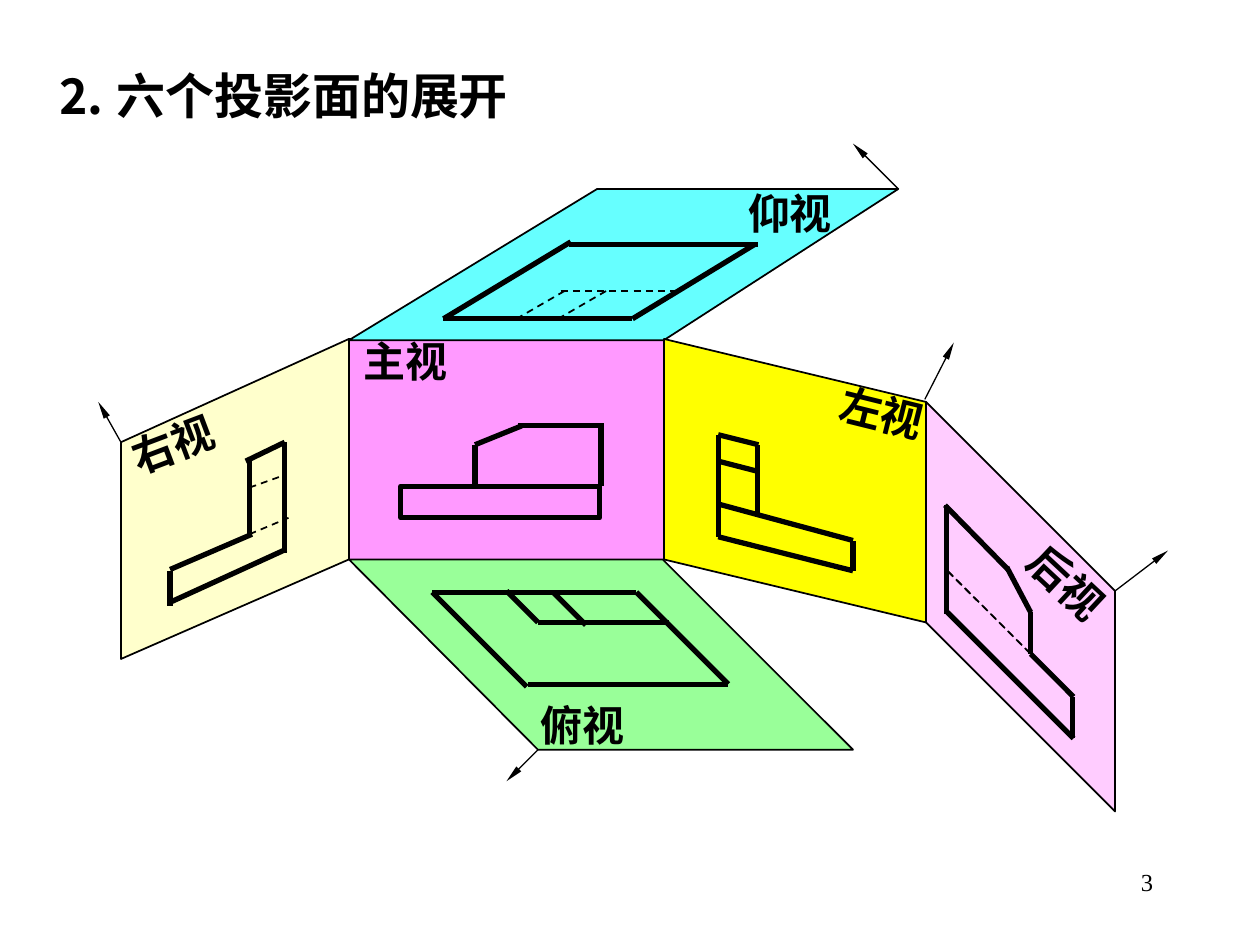
"""Build a slide showing how the six projection planes unfold."""
from dataclasses import dataclass

from lxml.etree import SubElement
from pptx import Presentation
from pptx.dml.color import RGBColor
from pptx.enum.dml import MSO_LINE
from pptx.enum.shapes import MSO_CONNECTOR, MSO_SHAPE
from pptx.enum.text import MSO_ANCHOR, PP_ALIGN
from pptx.oxml.ns import qn
from pptx.util import Inches, Pt


@dataclass(frozen=True)
class Theme:
    ink: RGBColor = RGBColor.from_string("000000")
    front: RGBColor = RGBColor.from_string("FF99FF")
    rear: RGBColor = RGBColor.from_string("FFCCFF")
    bottom: RGBColor = RGBColor.from_string("66FFFF")
    top: RGBColor = RGBColor.from_string("99FF99")
    right: RGBColor = RGBColor.from_string("FFFFCC")
    left: RGBColor = RGBColor.from_string("FFFF00")
    heading_font: str = "Noto Sans CJK SC"
    body_font: str = "Times New Roman"
    heading_size: int = 28
    label_size: int = 24
    number_size: int = 14
    edge: float = 3
    thin: float = 1
    arrow: float = 0.75


theme = Theme()
presentation = Presentation()
presentation.slide_width, presentation.slide_height = Inches(10), Inches(7.5)
slide = presentation.slides.add_slide(presentation.slide_layouts[6])


def add_text(text, left, top, width=1, height=0.5, size=theme.label_size, font=theme.body_font,
             bold=True, align=PP_ALIGN.CENTER, anchor=MSO_ANCHOR.MIDDLE, rotation=0):
    box = slide.shapes.add_textbox(Inches(left), Inches(top), Inches(width), Inches(height))
    box.rotation = rotation
    frame = box.text_frame
    frame.word_wrap = True
    frame.vertical_anchor = anchor
    paragraph = frame.paragraphs[0]
    paragraph.alignment = align
    run = paragraph.add_run()
    run.text = text
    run.font.name, run.font.size, run.font.bold = font, Pt(size), bold
    run.font.color.rgb = theme.ink
    SubElement(run.font._element, qn("a:ea"), typeface=theme.heading_font)


def add_line(x1, y1, x2, y2, width=theme.edge, dashed=False, arrow=False):
    line = slide.shapes.add_connector(
        MSO_CONNECTOR.STRAIGHT, Inches(x1), Inches(y1), Inches(x2), Inches(y2))
    line.line.width = Pt(width)
    line.line.color.rgb = theme.ink
    if dashed:
        line.line.dash_style = MSO_LINE.DASH
    if arrow:
        SubElement(line.line._get_or_add_ln(), qn("a:tailEnd"), type="triangle", w="sm", len="lg")
    SubElement(line._element.spPr, qn("a:effectLst"))


add_text("3", 7.17, 6.83, 2.08, size=theme.number_size, bold=False,
         align=PP_ALIGN.RIGHT, anchor=MSO_ANCHOR.TOP)
add_text("⒉ 六个投影面的展开", 0.35, 0.47, 4.83, 0.57, size=theme.heading_size,
         font=theme.heading_font, align=PP_ALIGN.LEFT)

front_plane = slide.shapes.add_shape(
    MSO_SHAPE.RECTANGLE, Inches(2.77), Inches(2.69), Inches(2.5), Inches(1.75))
front_plane.fill.solid()
front_plane.fill.fore_color.rgb = theme.front
front_plane.line.width = Pt(theme.thin)

front_base = slide.shapes.add_shape(
    MSO_SHAPE.RECTANGLE, Inches(3.18), Inches(3.86), Inches(1.58), Inches(0.25))
front_base.fill.background()
front_base.line.width = Pt(theme.edge)

for front_part in (front_plane, front_base):
    front_part.shadow.inherit = False
    front_part.line.color.rgb = theme.ink

unfolded_planes = [
    (theme.rear, [(7.35, 3.19), (8.85, 4.69), (8.85, 6.44), (7.35, 4.94)]),
    (theme.bottom, [(2.77, 2.7), (4.74, 1.5), (7.13, 1.5), (5.27, 2.7)]),
    (theme.top, [(2.77, 4.44), (4.27, 5.95), (6.77, 5.95), (5.26, 4.44)]),
    (theme.right, [(2.77, 2.69), (0.96, 3.51), (0.96, 5.23), (2.77, 4.44)]),
    (theme.left, [(5.27, 2.69), (7.35, 3.19), (7.35, 4.94), (5.27, 4.44)]),
]
for color, corners in unfolded_planes:
    start, *others = [(Inches(x), Inches(y)) for x, y in corners]
    outline = slide.shapes.build_freeform(*start)
    outline.add_line_segments(others, close=True)
    plane = outline.convert_to_shape()
    plane.shadow.inherit = False
    plane.fill.solid()
    plane.fill.fore_color.rgb = color
    plane.line.color.rgb = theme.ink
    plane.line.width = Pt(theme.thin)

front_edges = [(4.76, 3.38, 4.11, 3.38), (3.77, 3.86, 3.77, 3.53),
               (3.77, 3.53, 4.14, 3.38), (4.77, 3.86, 4.77, 3.36)]
left_edges = [(5.7, 4.26, 6.77, 4.53), (6.77, 4.53, 6.77, 4.29), (5.7, 4.26, 5.7, 3.45),
              (5.7, 4, 6.77, 4.29), (6.01, 4.08, 6.01, 3.53), (5.7, 3.45, 6.02, 3.53),
              (5.7, 3.66, 6.01, 3.74)]
right_edges = [(2.26, 3.51, 2.26, 4.39), (2.27, 4.36, 1.35, 4.78), (2.26, 3.51, 1.95, 3.66),
               (1.98, 3.64, 1.98, 4.26), (2, 4.24, 1.35, 4.52), (1.35, 4.53, 1.35, 4.81)]
top_edges = [(3.43, 4.7, 5.05, 4.7), (4.19, 5.43, 5.78, 5.43), (5.05, 4.7, 5.78, 5.43),
             (4.27, 4.94, 5.31, 4.94), (3.43, 4.7, 4.18, 5.45), (4.27, 4.94, 4.02, 4.69),
             (4.39, 4.7, 4.65, 4.96)]
bottom_edges = [(3.52, 2.53, 5.02, 2.53), (4.52, 1.94, 6.02, 1.94),
                (3.52, 2.53, 4.53, 1.92), (5.02, 2.53, 5.99, 1.94)]
rear_edges = [(7.52, 4.86, 8.52, 5.86), (7.51, 4.01, 7.51, 4.87), (8.51, 5.86, 8.51, 5.53),
              (8.52, 5.53, 8.18, 5.19), (8.18, 5.19, 8.18, 4.86), (8.18, 4.86, 7.99, 4.5),
              (7.5, 4.01, 8, 4.52)]
for view_edges in (front_edges, left_edges, right_edges, top_edges, bottom_edges, rear_edges):
    for edge in view_edges:
        add_line(*edge)

hidden_edges = [(1.98, 4.24, 2.29, 4.11), (1.98, 3.87, 2.26, 3.77), (4.45, 2.31, 5.36, 2.31),
                (4.48, 2.31, 4.1, 2.53), (4.81, 2.31, 4.43, 2.53), (8.18, 5.19, 7.52, 4.53),
                (7.52, 4.53, 8.18, 5.19)]
for edge in hidden_edges:
    add_line(*edge, width=theme.thin, dashed=True)

add_text("主视", 2.68, 2.61, 1.08)
add_text("俯视", 4.12, 5.5)
add_text("左视", 6.5, 3.02, rotation=13.9)
add_text("右视", 0.87, 3.27, rotation=339.3)
add_text("后视", 7.88, 4.37, 1.17, rotation=43)
add_text("仰视", 5.77, 1.44)

unfolding_directions = [(0.96, 3.51, 0.78, 3.19), (7.13, 1.5, 6.77, 1.14),
                        (4.27, 5.95, 4.02, 6.2), (7.34, 3.17, 7.57, 2.72),
                        (8.85, 4.69, 9.27, 4.37)]
for direction in unfolding_directions:
    add_line(*direction, width=theme.arrow, arrow=True)

presentation.save("out.pptx")
